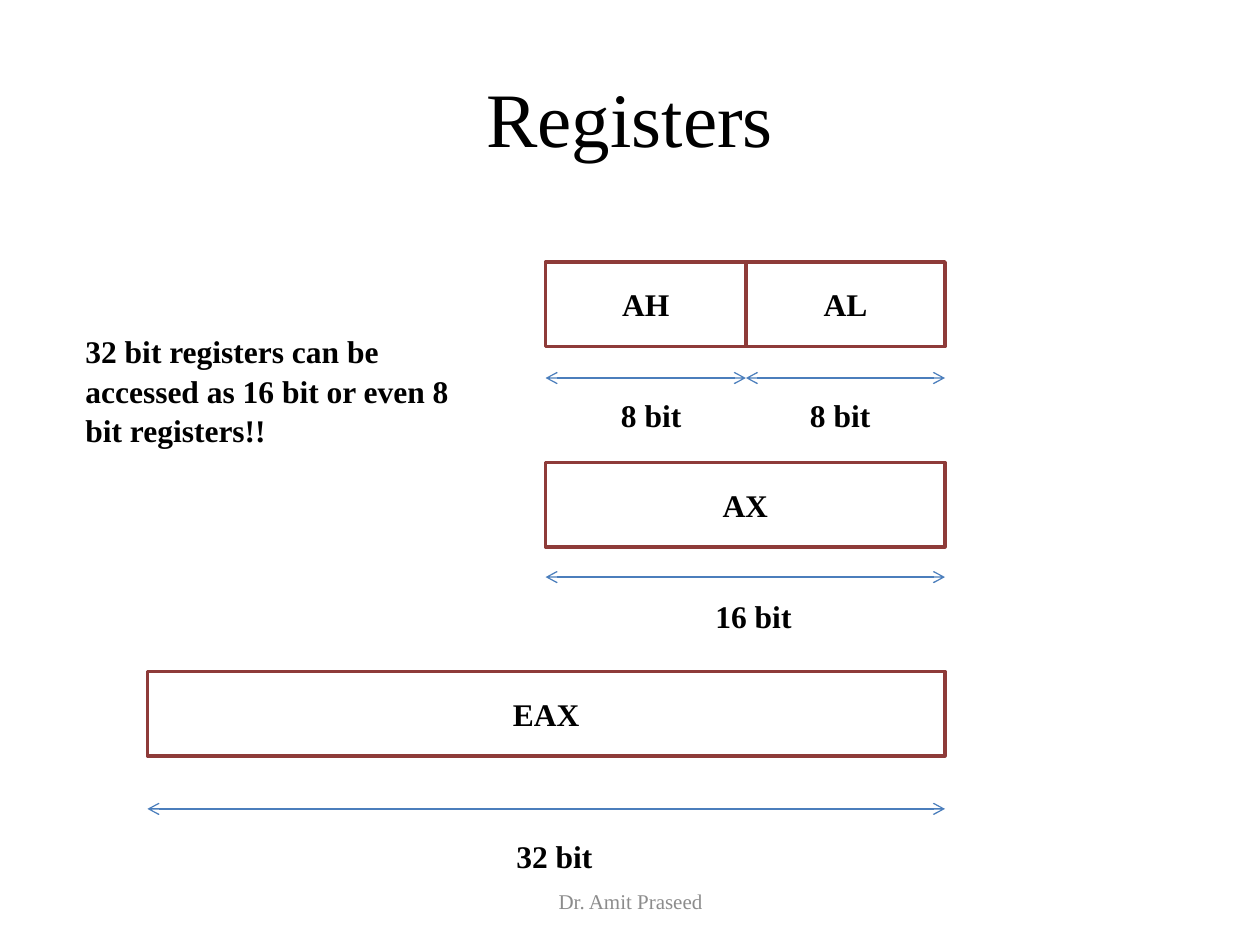
"""Build the slide showing how EAX, AX, AH and AL overlap."""
from lxml import etree
from pptx import Presentation
from pptx.dml.color import RGBColor
from pptx.enum.shapes import MSO_CONNECTOR, MSO_SHAPE
from pptx.enum.text import MSO_ANCHOR, PP_ALIGN
from pptx.oxml.ns import qn
from pptx.util import Inches, Pt


def color(hex_value):
    return RGBColor.from_string(hex_value)


def write(shape, text, size=18, bold=True, ink="000000", align=PP_ALIGN.CENTER,
          anchor=MSO_ANCHOR.MIDDLE, spacing=None):
    frame = shape.text_frame
    frame.word_wrap = True
    frame.vertical_anchor = anchor
    paragraph = frame.paragraphs[0]
    paragraph.alignment = align
    paragraph.line_spacing = spacing
    run = paragraph.add_run()
    run.text = text
    run.font.name = "Times New Roman"
    run.font.size = Pt(size)
    run.font.bold = bold
    run.font.color.rgb = color(ink)


prs = Presentation()
prs.slide_width, prs.slide_height = Inches(10), Inches(7.5)
slide = prs.slides.add_slide(prs.slide_layouts[5])
shapes = slide.shapes

title = shapes.title
title.left, title.top, title.width, title.height = map(Inches, (0.5, 0.3, 9, 1.25))
write(title, "Registers", size=44, bold=False)

right_edge = 7.5
box_height = 0.67
registers = [
    ("EAX", 1.17, right_edge, 5.33, 6.42),
    ("AX", 4.33, right_edge, 3.67, 4.58),
    ("AL", 5.92, right_edge, 2.08, 3),
    ("AH", 4.33, 5.92, 2.08, 3),
]
for name, left, right, top, arrow_y in registers:
    box = shapes.add_shape(MSO_SHAPE.RECTANGLE, Inches(left), Inches(top),
                           Inches(right - left), Inches(box_height))
    box.shadow.inherit = False
    box.fill.background()
    box.line.color.rgb = color("8E3B39")
    box.line.width = Pt(2)
    write(box, name)

    arrow = shapes.add_connector(MSO_CONNECTOR.STRAIGHT, Inches(left), Inches(arrow_y),
                                 Inches(right), Inches(arrow_y))
    arrow.line.color.rgb = color("4B7EBC")
    arrow.line.width = Pt(0.75)
    line_xml = arrow.line._get_or_add_ln()
    for end in ("a:headEnd", "a:tailEnd"):
        etree.SubElement(line_xml, qn(end)).set("type", "arrow")
    etree.SubElement(arrow._element.spPr, qn("a:effectLst"))

notes = [
    ("32 bit", 4, 6.58, 1.46, 0.42),
    ("16 bit", 5.58, 4.67, 1.46, 0.42),
    ("8 bit", 4.83, 3.08, 1.46, 0.42),
    ("8 bit", 6.33, 3.08, 1.46, 0.42),
    ("32 bit registers can be accessed as 16 bit or even 8 bit registers!!",
     0.58, 2.57, 3.17, 1.01),
]
for text, *place in notes:
    write(shapes.add_textbox(*map(Inches, place)), text,
          align=PP_ALIGN.LEFT, anchor=MSO_ANCHOR.TOP, spacing=1.05)

footer = shapes.add_textbox(*map(Inches, (3.42, 6.95, 3.17, 0.4)))
write(footer, "Dr. Amit Praseed", size=12, bold=False, ink="8C8C8C")

prs.save("out.pptx")
